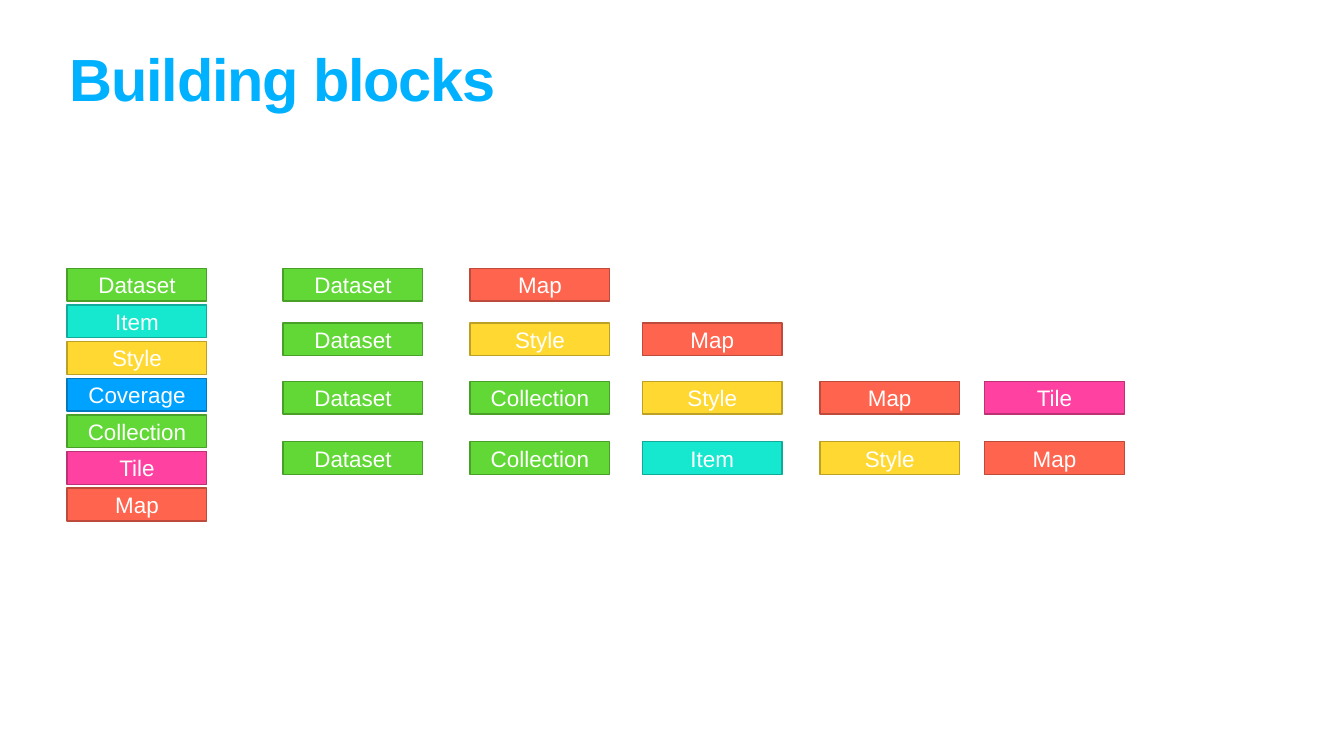
from pptx import Presentation
from pptx.dml.color import RGBColor as RGB
from pptx.enum.shapes import MSO_SHAPE as Shape
from pptx.enum.text import MSO_ANCHOR as Anchor, MSO_AUTO_SIZE as Fit, PP_ALIGN as Align
from pptx.util import Inches, Pt

WIDE, HIGH = 26.67, 15
TILE_W, TILE_H = 2.77, 0.65
PAD = Inches(0.06)
FONT = "Arial"
COLORS = {
    "title": "00B1FF",
    "text": "FFFFFF",
    "green": ("61D836", "48A028"),
    "teal": ("16E7CF", "10AB99"),
    "gold": ("FFD932", "BDA125"),
    "blue": ("00A2FF", "0078BD"),
    "pink": ("FF42A1", "BD3177"),
    "red": ("FF644E", "BD4A3A"),
}
KINDS = {
    "Dataset": "green",
    "Item": "teal",
    "Style": "gold",
    "Coverage": "blue",
    "Collection": "green",
    "Tile": "pink",
    "Map": "red",
}
CHAINS = [
    ["Dataset", "Map"],
    ["Dataset", "Style", "Map"],
    ["Dataset", "Collection", "Style", "Map", "Tile"],
    ["Dataset", "Collection", "Item", "Style", "Map"],
]
# Column and row starts, measured from the corner of the chain area
COLS = [0, 3.71, 7.13, 10.65, 13.92]
ROWS = [0, 1.08, 2.24, 3.44]


def set_text(shape, text, size, color):
    frame = shape.text_frame
    frame.text = text
    frame.word_wrap = True
    frame.margin_left = frame.margin_right = PAD
    frame.margin_top = frame.margin_bottom = PAD
    font = frame.paragraphs[0].runs[0].font
    font.name, font.size = FONT, Pt(size)
    font.color.rgb = RGB.from_string(color)
    return frame, font


def add_title(slide, text, box):
    title = slide.shapes.title
    title.left, title.top, title.width, title.height = map(Inches, box)
    frame, font = set_text(title, text, 85, COLORS["title"])
    frame.auto_size = Fit.NONE
    frame.vertical_anchor = Anchor.TOP
    frame.paragraphs[0].alignment = Align.LEFT
    frame.paragraphs[0].line_spacing = 0.8
    font.bold = True
    font._element.set("spc", "-170")


def add_block(slide, name, left, top):
    box = map(Inches, (left, top, TILE_W, TILE_H))
    block = slide.shapes.add_shape(Shape.RECTANGLE, *box)
    fill, edge = COLORS[KINDS[name]]
    block.shadow.inherit = False
    block.fill.solid()
    block.fill.fore_color.rgb = RGB.from_string(fill)
    block.line.color.rgb = RGB.from_string(edge)
    block.line.width = Pt(2)
    frame, _ = set_text(block, name, 32, COLORS["text"])
    frame.auto_size = Fit.SHAPE_TO_FIT_TEXT
    frame.vertical_anchor = Anchor.MIDDLE
    frame.paragraphs[0].alignment = Align.CENTER


def add_stack(slide, names, left, top, high):
    """Spread the blocks evenly down a column of the given height."""
    step = (high - TILE_H) / (len(names) - 1)
    for row, name in enumerate(names):
        add_block(slide, name, left, top + row * step)


def add_chains(slide, chains, left, top):
    for chain, down in zip(chains, ROWS):
        for name, across in zip(chain, COLS):
            add_block(slide, name, left + across, top + down)


def main():
    deck = Presentation()
    deck.slide_width, deck.slide_height = Inches(WIDE), Inches(HIGH)
    slide = deck.slides.add_slide(deck.slide_layouts[5])
    top = HIGH * 0.355
    add_title(slide, "Building blocks", (1.32, 1.04, WIDE * 0.9, 1.57))
    add_stack(slide, list(KINDS), WIDE * 0.05, top, HIGH * 0.334)
    add_chains(slide, CHAINS, 5.62, top)
    deck.save("out.pptx")


if __name__ == "__main__":
    main()
